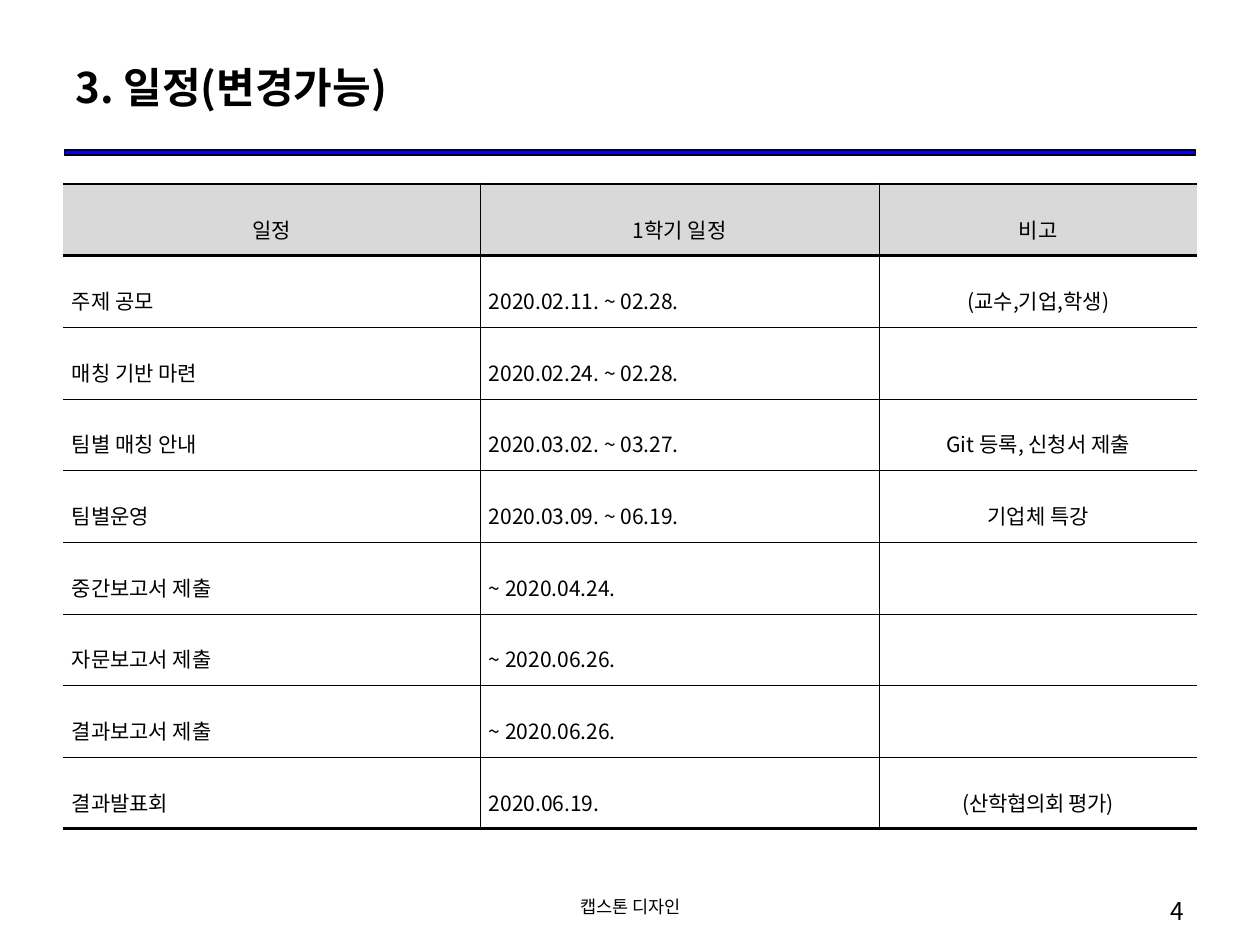
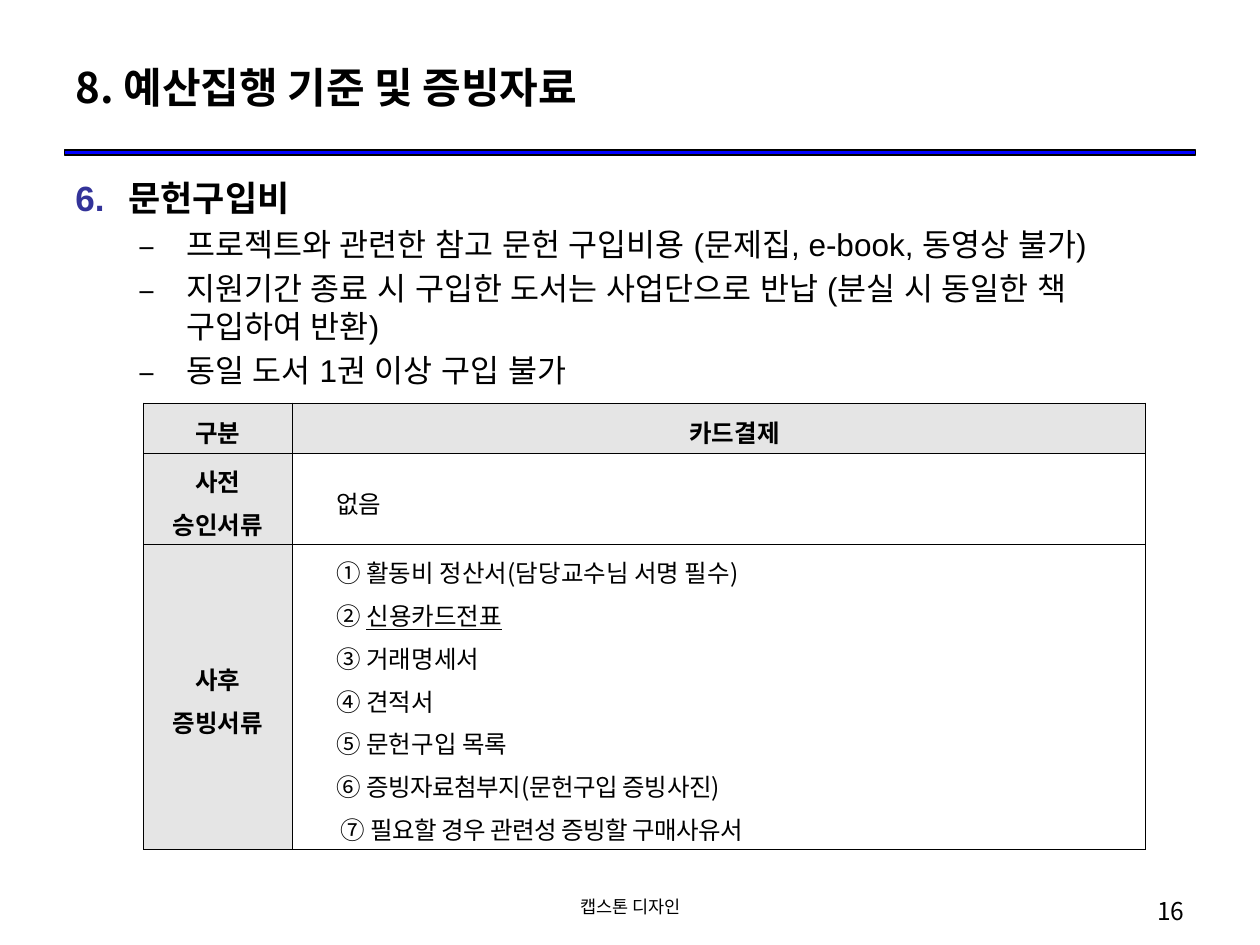
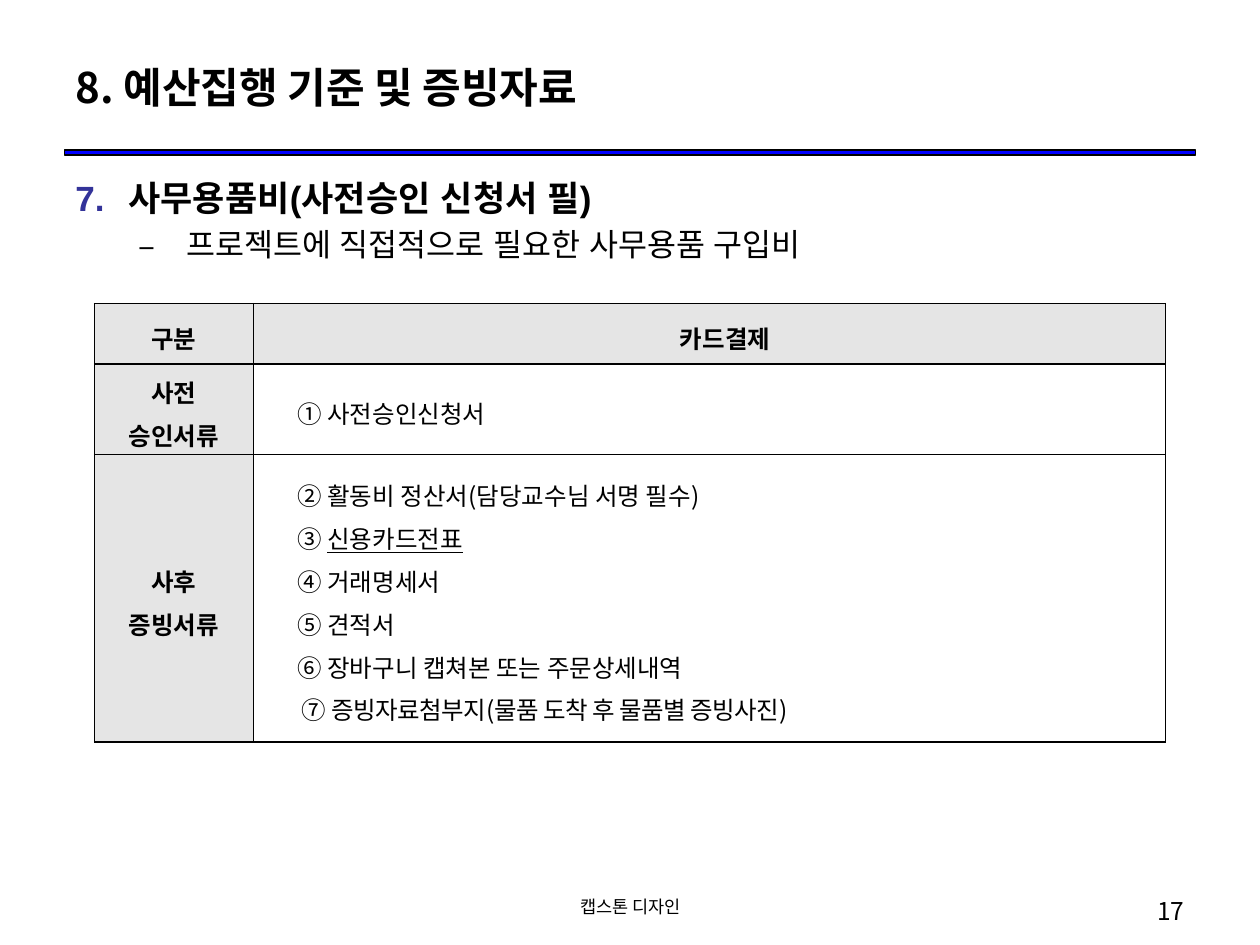
import pptx
import pptx.util
import pptx.dml.color
import pptx.enum.shapes
import pptx.enum.text
import pptx.oxml.ns
import lxml.etree

Inches, Pt = pptx.util.Inches, pptx.util.Pt
RGB = pptx.dml.color.RGBColor
ALIGN = pptx.enum.text.PP_ALIGN
MIDDLE = pptx.enum.text.MSO_ANCHOR.MIDDLE

BLACK = RGB(0, 0, 0)
BLUE = RGB(0, 0, 0xFF)
INDIGO = RGB(0x33, 0x33, 0x99)
GRAY = RGB(0xD9, 0xD9, 0xD9)
PALE = RGB(0xE5, 0xE5, 0xE5)
SANS = "Noto Sans CJK KR"
ARIAL = "Arial"

FOOTER = "캡스톤 디자인"
BUDGET = "8. 예산집행 기준 및 증빙자료"

PLAN = [
    ("일정", "1학기 일정", "비고"),
    ("주제 공모", "2020.02.11. ~ 02.28.", "(교수,기업,학생)"),
    ("매칭 기반 마련", "2020.02.24. ~ 02.28.", ""),
    ("팀별 매칭 안내", "2020.03.02. ~ 03.27.", "Git 등록, 신청서 제출"),
    ("팀별운영", "2020.03.09. ~ 06.19.", "기업체 특강"),
    ("중간보고서 제출", "~ 2020.04.24.", ""),
    ("자문보고서 제출", "~ 2020.06.26.", ""),
    ("결과보고서 제출", "~ 2020.06.26.", ""),
    ("결과발표회", "2020.06.19.", "(산학협의회 평가)"),
]

# Each paper is (mark, words, styles).
COSTS = [
    dict(
        page=16, start=6, head="문헌구입비",
        notes=["프로젝트와 관련한 참고 문헌 구입비용 (문제집, e-book, 동영상 불가)",
               "지원기간 종료 시 구입한 도서는 사업단으로 반납 (분실 시 동일한 책 구입하여 반환)",
               "동일 도서 1권 이상 구입 불가"],
        left=1.14, top=3.2, cols=(1.18, 6.77), rows=(0.4, 0.72, 2.42),
        before=[("", "없음", "")],
        after=[("① ", "활동비 정산서(담당교수님 서명 필수)", ""),
               ("② ", "신용카드전표", "under"),
               ("③ ", "거래명세서", ""),
               ("④ ", "견적서", ""),
               ("⑤ ", "문헌구입 목록", ""),
               ("⑥ ", "증빙자료첨부지(문헌구입 증빙사진)", "tight"),
               ("⑦ ", "필요할 경우 관련성 증빙할 구매사유서", "tight wide")]),
    dict(
        page=17, start=7, head="사무용품비(사전승인 신청서 필)",
        notes=["프로젝트에 직접적으로 필요한 사무용품 구입비"],
        left=0.75, top=2.41, cols=(1.26, 7.24), rows=(0.48, 0.72, 2.28),
        before=[("① ", "사전승인신청서", "")],
        after=[("② ", "활동비 정산서(담당교수님 서명 필수)", ""),
               ("③ ", "신용카드전표", "under"),
               ("④ ", "거래명세서", ""),
               ("⑤ ", "견적서", ""),
               ("⑥ ", "장바구니 캡쳐본 또는 주문상세내역", ""),
               ("⑦ ", "증빙자료첨부지(물품 도착 후 물품별 증빙사진)", "tight wide")]),
]


def sub(node, tag, **attrs):
    """Append a drawing element with the given attributes."""
    child = lxml.etree.SubElement(node, pptx.oxml.ns.qn(tag))
    for key, value in attrs.items():
        child.set(key, str(value))
    return child


def style(para, size, bold=False, face=SANS, align=ALIGN.LEFT, space=None):
    para.alignment = align
    if space:
        para.line_spacing = space
    font = para.font
    font.size, font.bold, font.name = Pt(size), bold, face
    font.color.rgb = BLACK
    font._rPr.set("kern", "0")
    sub(font._rPr, "a:ea", typeface=face)


def indent(para, left, first):
    props = para._p.get_or_add_pPr()
    props.set("marL", str(Inches(left)))
    props.set("indent", str(Inches(first)))
    return props


def tighten(run, points):
    run._r.get_or_add_rPr().set("spc", str(round(-points * 100)))


def add_label(slide, text, left, width, size, align):
    box = slide.shapes.add_textbox(Inches(left), Inches(7.06), Inches(width), Inches(0.29))
    box.text_frame.word_wrap = True
    para = box.text_frame.paragraphs[0]
    para.text = text
    style(para, size, align=align)


def add_slide(deck, title, page):
    """Start a slide with the shared title, rule, footer and page number."""
    slide = deck.slides.add_slide(deck.slide_layouts[5])
    head = slide.shapes.title
    head.left, head.top = Inches(0.5), Inches(0.3)
    head.width, head.height = Inches(9), Inches(0.77)
    head.text_frame.text = title
    head.text_frame.vertical_anchor = MIDDLE
    style(head.text_frame.paragraphs[0], 24, bold=True)

    rule = slide.shapes.add_shape(pptx.enum.shapes.MSO_SHAPE.RECTANGLE,
                                  Inches(0.51), Inches(1.19), Inches(8.98), Inches(0.04))
    rule.shadow.inherit = False
    rule.fill.solid()
    rule.fill.fore_color.rgb = BLUE
    rule.line.color.rgb = BLACK
    rule.line.width = Pt(0.75)

    add_label(slide, FOOTER, 3.42, 3.17, 10, ALIGN.CENTER)
    add_label(slide, str(page), 7.17, 2.33, 14, ALIGN.RIGHT)
    return slide


def add_grid(slide, left, top, cols, rows):
    frame = slide.shapes.add_table(len(rows), len(cols), Inches(left), Inches(top),
                                   Inches(sum(cols)), Inches(sum(rows)))
    table = frame.table
    table.first_row = table.horz_banding = False
    for col, width in zip(table.columns, cols):
        col.width = Inches(width)
    for row, height in zip(table.rows, rows):
        row.height = Inches(height)
    return table


def dress(cell, side, edges, fill=None):
    """Set insets, borders (left, right, top, bottom in points) and fill."""
    cell.margin_left = cell.margin_right = Inches(side)
    cell.margin_top = cell.margin_bottom = Inches(0.02)
    cell.vertical_anchor = MIDDLE
    props = cell._tc.get_or_add_tcPr()
    for name, width in zip("LRTB", edges):
        line = sub(props, "a:ln" + name, w=Pt(width))
        if width:
            sub(sub(line, "a:solidFill"), "a:srgbClr", val=BLACK)
        else:
            sub(line, "a:noFill")
    if fill:
        cell.fill.solid()
        cell.fill.fore_color.rgb = fill
    else:
        cell.fill.background()


def add_plan(deck):
    slide = add_slide(deck, "3. 일정(변경가능)", 4)
    count = len(PLAN)
    table = add_grid(slide, 0.5, 1.46, (3.31, 3.17, 2.52), [5.12 / count] * count)
    thin, thick = 0.28, 1.7
    lines = [thick, 1.98] + [thin] * (count - 2) + [thick]
    sides = [0, thin, thin, 0]
    for r, row in enumerate(PLAN):
        for c, text in enumerate(row):
            cell = table.cell(r, c)
            dress(cell, 0.07, sides[c:c + 2] + lines[r:r + 2], None if r else GRAY)
            para = cell.text_frame.paragraphs[0]
            para.text = text
            middle = r == 0 or c == 2
            style(para, 12, align=ALIGN.CENTER if middle else ALIGN.JUSTIFY, space=1.6)
    tighten(table.cell(count - 1, 2).text_frame.paragraphs[0].runs[0], 0.2)


def add_body(slide, cost):
    box = slide.shapes.add_textbox(Inches(0.5), Inches(1.35), Inches(9), Inches(5.71))
    frame = box.text_frame
    frame.word_wrap = True
    para = frame.paragraphs[0]
    para.text = cost["head"]
    props = indent(para, 0.42, -0.42)
    sub(sub(props, "a:buClr"), "a:srgbClr", val=INDIGO)
    sub(props, "a:buFont", typeface=SANS)
    sub(props, "a:buAutoNum", type="arabicPeriod", startAt=cost["start"])
    para.space_before = Pt(4)
    style(para, 20, bold=True, face=ARIAL)
    for note in cost["notes"]:
        para = frame.add_paragraph()
        para.text, para.level = note, 1
        props = indent(para, 0.88, -0.38)
        sub(props, "a:buFont", typeface=SANS)
        sub(props, "a:buChar", char="–")
        para.space_before = Pt(3.6)
        style(para, 18, face=ARIAL)


def add_papers(cell, papers):
    frame = cell.text_frame
    for i, (mark, words, kind) in enumerate(papers):
        para = frame.add_paragraph() if i else frame.paragraphs[0]
        if mark:
            para.add_run().text = mark
        run = para.add_run()
        run.text = words
        if "under" in kind:
            run.font.underline = True
        if "tight" in kind:
            tighten(run, 0.3)
        indent(para, *((0.47, -0.19) if "wide" in kind else (0.4, -0.15)))
        style(para, 14, align=ALIGN.JUSTIFY, space=1.2)


def add_cost(deck, cost):
    slide = add_slide(deck, BUDGET, cost["page"])
    add_body(slide, cost)
    table = add_grid(slide, cost["left"], cost["top"], cost["cols"], cost["rows"])
    heads = {(0, 0): "구분", (0, 1): "카드결제", (1, 0): "사전 승인서류", (2, 0): "사후 증빙서류"}
    papers = {(1, 1): cost["before"], (2, 1): cost["after"]}
    for spot, text in heads.items():
        cell = table.cell(*spot)
        dress(cell, 0.1, [0.85] * 4, PALE)
        para = cell.text_frame.paragraphs[0]
        para.text = text
        if spot[1]:
            indent(para, 0.4, -0.15)
        style(para, 14, bold=True, align=ALIGN.CENTER, space=1.2)
    for spot, items in papers.items():
        cell = table.cell(*spot)
        dress(cell, 0.1, [0.85] * 4)
        add_papers(cell, items)


def main():
    deck = pptx.Presentation()
    deck.slide_width, deck.slide_height = Inches(10), Inches(7.5)
    add_plan(deck)
    for cost in COSTS:
        add_cost(deck, cost)
    deck.save("out.pptx")


if __name__ == "__main__":
    main()
